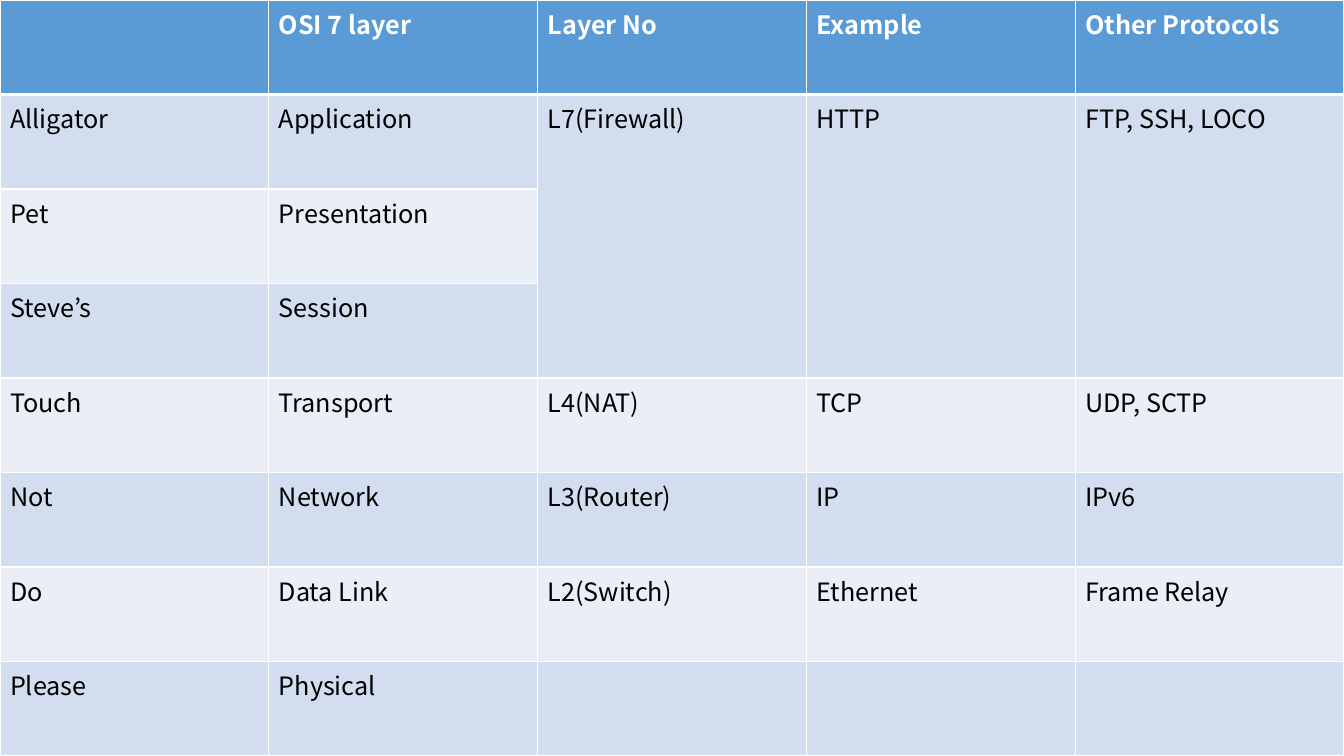
from lxml import etree
from pptx import Presentation
from pptx.dml.color import RGBColor
from pptx.oxml.ns import qn
from pptx.util import Emu, Pt

PIXEL = 914400 / 100.8
SLIDE_WIDTH, SLIDE_HEIGHT = 1344, 756
BLANK_LAYOUT = 6

FONT = "Noto Sans CJK KR"
WHITE = RGBColor(0xFF, 0xFF, 0xFF)
BLACK = RGBColor(0x00, 0x00, 0x00)
HEADER_BLUE = RGBColor(0x5B, 0x9B, 0xD5)
BANDS = (RGBColor(0xD2, 0xDE, 0xEF), RGBColor(0xEA, 0xEF, 0xF7))

HEADER = ("", "OSI 7 layer", "Layer No", "Example", "Other Protocols")
LAYERS = (
    ("Alligator", "Application", "L7(Firewall)", "HTTP", "FTP, SSH, LOCO"),
    ("Pet", "Presentation", "", "", ""),
    ("Steve’s", "Session", "", "", ""),
    ("Touch", "Transport", "L4(NAT)", "TCP", "UDP, SCTP"),
    ("Not", "Network", "L3(Router)", "IP", "IPv6"),
    ("Do", "Data Link", "L2(Switch)", "Ethernet", "Frame Relay"),
    ("Please", "Physical", "", "", ""),
)
FIREWALL_ROWS = (1, 3)
FIREWALL_COLUMNS = (2, 3, 4)


def px(length):
    """Turn picture pixels into EMU."""
    return Emu(round(length * PIXEL))


def write_text(frame, text, size=18, color=BLACK, bold=False):
    """Put one formatted run into a text frame."""
    para = frame.paragraphs[0]
    para.font.size = Pt(size)
    if text:
        span = para.add_run()
        span.text = text
        span.font.name = FONT
        span.font.size = Pt(size)
        span.font.bold = bold
        span.font.color.rgb = color


def set_borders(cell, color=WHITE, **widths):
    """Draw the cell's edges; widths in points are keyed L, R, T, B."""
    properties = cell._tc.get_or_add_tcPr()
    for position, edge in enumerate("LRTB"):
        line = etree.Element(qn(f"a:ln{edge}"), w=str(Pt(widths.get(edge, 1))))
        fill = etree.SubElement(line, qn("a:solidFill"))
        etree.SubElement(fill, qn("a:srgbClr"), val=str(color))
        properties.insert(position, line)


class SlideBuilder:
    """Holds the current slide and adds styled elements to it."""

    def __init__(self, deck):
        self.slide = deck.slides.add_slide(deck.slide_layouts[BLANK_LAYOUT])

    def table(self, rows, left, top, width, height):
        """Add an evenly spaced table with a header and banded rows."""
        shape = self.slide.shapes.add_table(
            len(rows), len(rows[0]), px(left), px(top), px(width), px(height))
        table = shape.table
        for column in table.columns:
            column.width = px(width / len(rows[0]))
        for row in table.rows:
            row.height = px(height / len(rows))
        for row_index, texts in enumerate(rows):
            for column_index, text in enumerate(texts):
                self.cell(table.cell(row_index, column_index), text, row_index)
        return table

    def cell(self, cell, text, row_index):
        """Fill, border and label one table cell."""
        is_header = row_index == 0
        cell.fill.solid()
        cell.fill.fore_color.rgb = HEADER_BLUE if is_header else BANDS[(row_index - 1) % 2]
        set_borders(cell, T=3 if row_index == 1 else 1, B=3 if is_header else 1)
        write_text(cell.text_frame, text, color=WHITE if is_header else BLACK, bold=is_header)


def main():
    """Build the network layer slide and save it."""
    deck = Presentation()
    deck.slide_width, deck.slide_height = px(SLIDE_WIDTH), px(SLIDE_HEIGHT)
    builder = SlideBuilder(deck)
    layers = builder.table((HEADER, *LAYERS), 0, 0, SLIDE_WIDTH, SLIDE_HEIGHT)
    first_row, last_row = FIREWALL_ROWS
    for column in FIREWALL_COLUMNS:
        layers.cell(first_row, column).merge(layers.cell(last_row, column))
    deck.save("out.pptx")


main()
